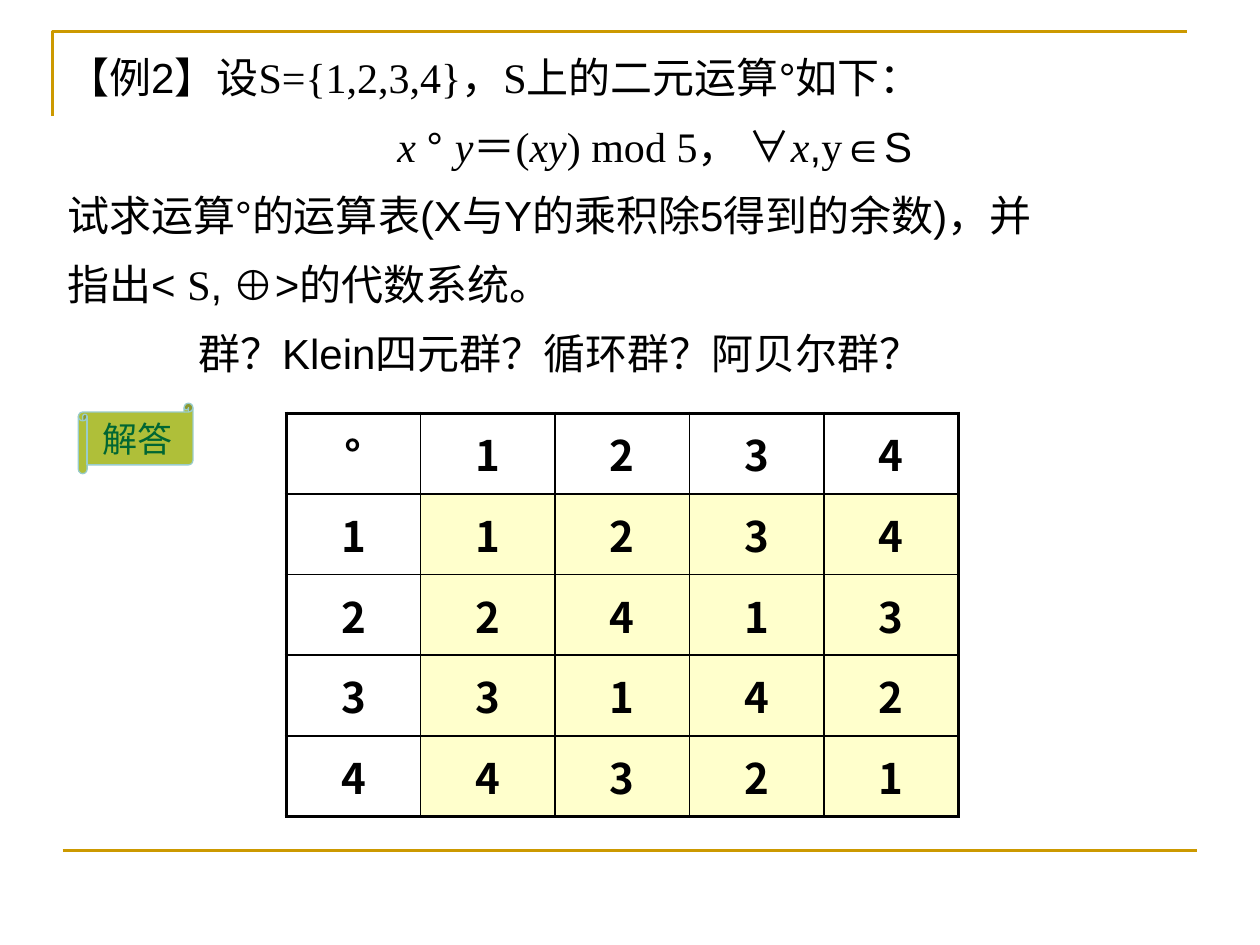
from lxml.etree import SubElement
from pptx import Presentation
from pptx.dml.color import RGBColor
from pptx.enum.shapes import MSO_CONNECTOR, MSO_SHAPE
from pptx.enum.text import MSO_ANCHOR, MSO_AUTO_SIZE, PP_ALIGN
from pptx.oxml.ns import qn
from pptx.util import Cm, Pt

BLACK = RGBColor(0, 0, 0)
GOLD = RGBColor(0xCC, 0x99, 0x00)
CREAM = RGBColor(0xFF, 0xFF, 0xCC)
OLIVE = RGBColor(0xAF, 0xBF, 0x39)
AQUA = RGBColor(0x99, 0xCC, 0xCC)
GREEN = RGBColor(0x00, 0x66, 0x33)
SANS, SERIF, HAN = "Arial", "Times New Roman", "Noto Sans CJK SC"

# Each run is text, font, italic.
SETUP = [("【例2】", SANS, False), ("设S={1,2,3,4}，S上的二元运算", SERIF, False),
         ("°", SANS, False), ("如下：", SERIF, False)]
RULE = [("x ", SERIF, True), ("° ", SANS, False), ("y", SERIF, True),
        ("＝(", SERIF, False), ("xy", SERIF, True), (") mod 5， ", SERIF, False),
        ("∀", SANS, False), ("x", SERIF, True), (",", SANS, False),
        ("y", SERIF, False), ("∈S", SANS, False)]
TASK = [("试求运算°的运算表(X与Y的乘积除5得到的余数)，并", SANS, False)]
SYSTEM = [("指出< ", SANS, False), ("S", SERIF, False), (",", SANS, False),
          (" ⊕", SERIF, False), (">的代数系统。", SANS, False)]
KINDS = [("群？Klein四元群？循环群？阿贝尔群？", SANS, False)]


def add_run(para, text, face, size, color=BLACK, bold=False, italic=False):
    run = para.add_run()
    run.text = text
    font = run.font
    font.name, font.size = face, Pt(size)
    font.bold, font.italic = bold, italic
    font.color.rgb = color
    SubElement(font._element, qn("a:ea")).set("typeface", HAN)


def add_frame(slide, left, top, width, height):
    """Draw the corner at the top left and the rule at the foot."""
    pen = slide.shapes.build_freeform(left, top + Cm(1.7))
    pen.add_line_segments([(left, top), (left + width, top)], close=False)
    corner = pen.convert_to_shape()
    corner.shadow.inherit = False
    corner.fill.background()
    start, foot = left + Cm(0.2), top + height
    rule = slide.shapes.add_connector(
        MSO_CONNECTOR.STRAIGHT, start, foot, start + width, foot)
    SubElement(rule._element.spPr, qn("a:effectLst"))
    for shape in (corner, rule):
        shape.line.color.rgb = GOLD
        shape.line.width = Pt(1.5)


def fill_body(body, left, top, width, height):
    body.left, body.top, body.width, body.height = left, top, width, height
    frame = body.text_frame
    frame.word_wrap = True
    frame.auto_size = MSO_AUTO_SIZE.NONE
    frame.vertical_anchor = MSO_ANCHOR.TOP
    for i, runs in enumerate((SETUP, RULE, TASK, SYSTEM, KINDS)):
        para = frame.paragraphs[0] if i == 0 else frame.add_paragraph()
        props = para._p.get_or_add_pPr()
        inset = Cm(2.64) if runs is KINDS else 0
        props.set("marL", str(inset or Cm(0.97)))
        props.set("indent", str(0 if inset else -Cm(0.97)))
        SubElement(props, qn("a:buNone"))
        para.alignment = PP_ALIGN.CENTER if runs is RULE else PP_ALIGN.LEFT
        para.line_spacing = 1.2
        para.space_before = Pt(5 if i else 0)
        for text, face, italic in runs:
            add_run(para, text, face, 24, italic=italic)


def add_scroll(slide, left, top, width, height):
    scroll = slide.shapes.add_shape(
        MSO_SHAPE.HORIZONTAL_SCROLL, left, top, width, height)
    scroll.shadow.inherit = False
    scroll.fill.solid()
    scroll.fill.fore_color.rgb = OLIVE
    scroll.line.color.rgb = AQUA
    scroll.line.width = Pt(0.75)
    frame = scroll.text_frame
    frame.word_wrap = False
    frame.vertical_anchor = MSO_ANCHOR.MIDDLE
    para = frame.paragraphs[0]
    para.alignment = PP_ALIGN.CENTER
    add_run(para, "解答", SANS, 20, GREEN)


def set_edge(cell, side, width):
    edge = SubElement(cell._tc.get_or_add_tcPr(), qn("a:ln" + side))
    edge.set("w", str(Pt(width)))
    fill = SubElement(edge, qn("a:solidFill"))
    SubElement(fill, qn("a:srgbClr")).set("val", str(BLACK))


def add_grid(slide, left, top, width, height):
    """Tabulate the products modulo 5."""
    size = 5
    table = slide.shapes.add_table(size, size, left, top, width, height).table
    table.first_row = table.horz_banding = False
    last = size - 1
    for i in range(size):
        table.columns[i].width = width // size
        table.rows[i].height = height // size
        for j in range(size):
            cell = table.cell(i, j)
            outer = {"L": j == 0, "R": j == last, "T": i == 0, "B": i == last}
            for side, thick in outer.items():
                set_edge(cell, side, 2.25 if thick else 1)
            if i and j:
                cell.fill.solid()
                cell.fill.fore_color.rgb = CREAM
                text = str(i * j % size)
            else:
                cell.fill.background()
                text = str(i + j or "°")
            cell.vertical_anchor = MSO_ANCHOR.MIDDLE
            para = cell.text_frame.paragraphs[0]
            para.alignment = PP_ALIGN.CENTER
            add_run(para, text, HAN, 24, bold=True)


def main():
    deck = Presentation()
    deck.slide_width, deck.slide_height = Cm(25.4), Cm(19.05)
    slide = deck.slides.add_slide(deck.slide_layouts[1])
    title = slide.shapes.title._element
    title.getparent().remove(title)
    add_frame(slide, Cm(1.06), Cm(0.64), Cm(22.86), Cm(16.51))
    fill_body(slide.placeholders[1], Cm(1.1), Cm(0.7), Cm(24.2), Cm(6.76))
    add_scroll(slide, Cm(1.58), Cm(8.13), Cm(2.31), Cm(1.42))
    add_grid(slide, Cm(5.77), Cm(8.33), Cm(13.55), Cm(8.13))
    deck.save("out.pptx")


if __name__ == "__main__":
    main()
